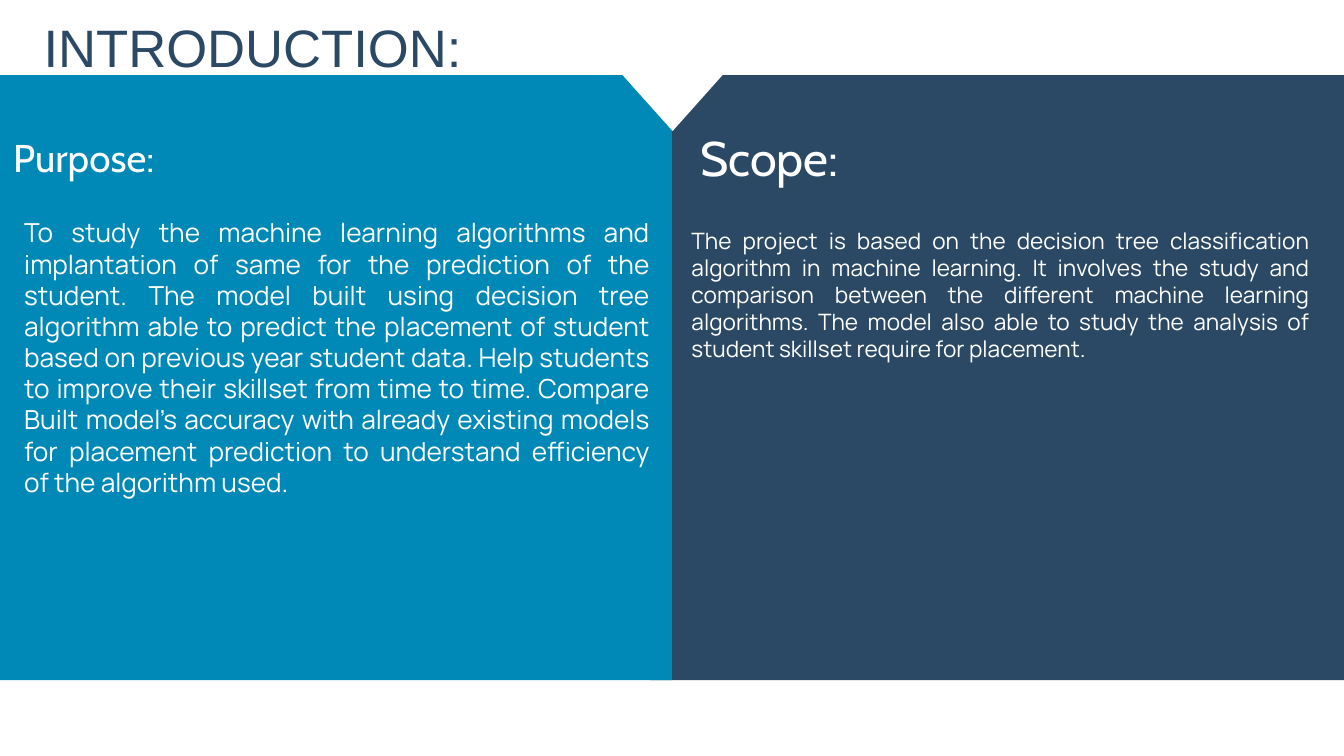
from pptx import Presentation
from pptx import util as u
from pptx.dml import color
from pptx.enum import shapes, text

NAVY, BLUE, WHITE = "2B4865", "0088B6", "FFFFFF"
PANEL_TOP, PANEL_HEIGHT = 1.12, 9

PURPOSE = (
    "To study the machine learning algorithms and implantation of same for the "
    "prediction of the student. The model built using decision tree algorithm able "
    "to predict the placement of student based on previous year student data. Help "
    "students to improve their skillset from time to time. Compare Built model’s "
    "accuracy with already existing models for placement prediction to understand "
    "efficiency of the algorithm used."
)
SCOPE = (
    "The project is based on the decision tree classification algorithm in machine "
    "learning. It involves the study and comparison between the different machine "
    "learning algorithms. The model also able to study the analysis of student "
    "skillset require for placement."
)


def rgb(value):
    return color.RGBColor.from_string(value)


class Slide:
    """Holds the current page and the style its elements share."""

    heading_font, body_font, title_font = "Cabin", "Manrope", "Arial"

    def __init__(self, deck):
        self.page = deck.slides.add_slide(deck.slide_layouts[6])

    def paint(self, shape, fill):
        shape.shadow.inherit = False
        shape.fill.solid()
        shape.fill.fore_color.rgb = rgb(fill)
        shape.line.fill.background()

    def panel(self, left, width, fill):
        shape = self.page.shapes.add_shape(
            shapes.MSO_SHAPE.RECTANGLE, u.Inches(left), u.Inches(PANEL_TOP),
            u.Inches(width), u.Inches(PANEL_HEIGHT))
        self.paint(shape, fill)

    def polygon(self, points, fill):
        start, *rest = [(u.Inches(x), u.Inches(y)) for x, y in points]
        builder = self.page.shapes.build_freeform(*start)
        builder.add_line_segments(rest, close=True)
        self.paint(builder.convert_to_shape(), fill)

    def label(self, words, place, font, size, spacing, align, ink=WHITE):
        """Place one paragraph; size and exact line spacing are in points."""
        box = self.page.shapes.add_textbox(*map(u.Inches, place))
        frame = box.text_frame
        frame.word_wrap = True
        frame.margin_left = frame.margin_right = 0
        frame.margin_top = frame.margin_bottom = 0
        para = frame.paragraphs[0]
        para.alignment = align
        para.line_spacing = u.Pt(spacing)
        span = para.add_run()
        span.text = words
        span.font.name = font
        span.font.size = u.Pt(size)
        span.font.color.rgb = rgb(ink)

    def body(self, words, place, size, spacing):
        self.label(words, place, self.body_font, size, spacing, text.PP_ALIGN.JUSTIFY)

    def heading(self, words, place, size, spacing):
        self.label(words, place, self.heading_font, size, spacing, text.PP_ALIGN.CENTER)

    def title(self, words, place, size, spacing):
        self.label(words, place, self.title_font, size, spacing,
                   text.PP_ALIGN.CENTER, NAVY)


def main():
    deck = Presentation()
    deck.slide_width, deck.slide_height = u.Inches(20), u.Inches(11.25)
    slide = Slide(deck)

    slide.panel(9.68, 14.42, NAVY)
    slide.panel(-7.92, 17.92, BLUE)
    slide.polygon([(10.01, 1.95), (12.64, -1), (7.37, -1)], WHITE)

    slide.body(PURPOSE, (0.36, 3.23, 9.31, 5.1), 28.1, 33.4)
    slide.body(SCOPE, (10.29, 3.38, 9.2, 2.41), 24.2, 28.9)
    slide.heading("Purpose:", (0, 1.88, 2.49, 0.76), 41.4, 58)
    slide.heading("Scope:", (10.26, 1.76, 2.38, 0.97), 52, 72.8)
    slide.title("INTRODUCTION:", (0.14, 0.06, 7.24, 1.06), 56.4, 78.9)

    deck.save("out.pptx")


if __name__ == "__main__":
    main()
